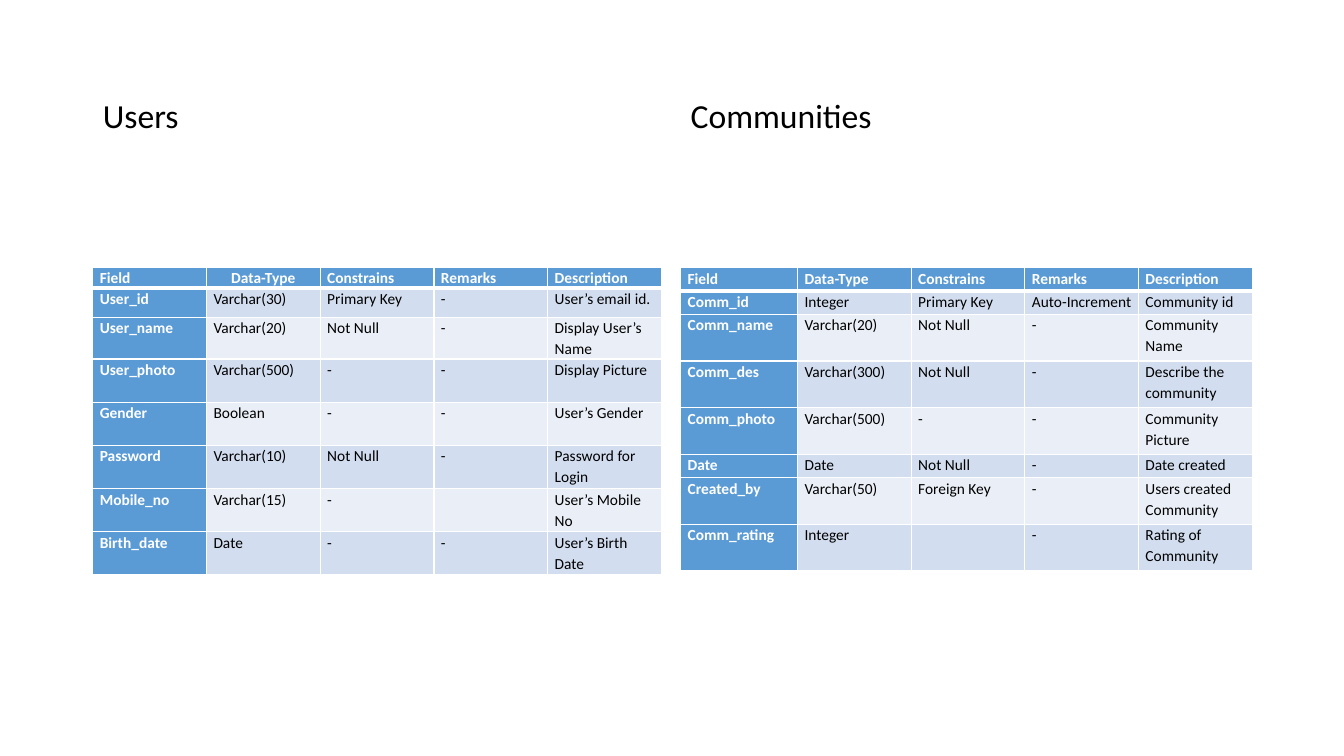
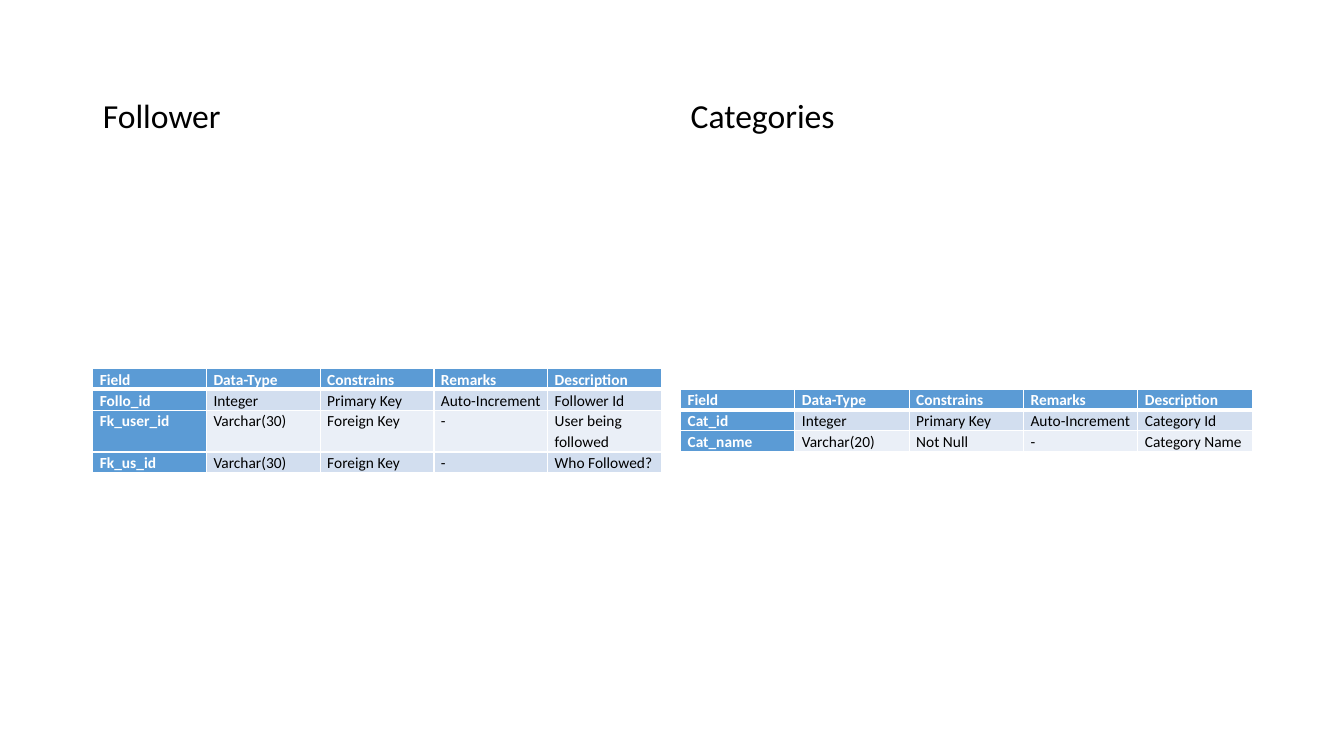
import lxml.etree
import pptx
import pptx.dml.color
import pptx.enum.text
import pptx.oxml.ns
import pptx.util

Inches = pptx.util.Inches
Pt = pptx.util.Pt

# Shared style
FONT = "Calibri"
BLACK, WHITE = "000000", "FFFFFF"
BLUE, BAND_DARK, BAND_LIGHT = "5B9BD5", "D2DEEF", "EAEFF7"
THIN, THICK = 1, 3
COMPARISON_LAYOUT = 4
LEFT_HEADING, RIGHT_HEADING = 1, 3
HEADING_TOP, HEADING_HEIGHT = 0.43, 0.97
TABLE_MIDDLE = 4.16
# Left edge and width of each half of a slide
LEFT_HALF, RIGHT_HALF = (0.92, 5.64), (6.75, 5.67)
HEADER = ("Field", "Data-Type", "Constrains", "Remarks", "Description")

USERS = {
    "heading": "Users",
    "height": 3.02,
    "row_weights": (20, 29, 39, 43, 43, 43, 43, 43),
    "centered_headers": ("Data-Type",),
    "rows": (
        ("User_id", "Varchar(30)", "Primary Key", "-", "User’s email id."),
        ("User_name", "Varchar(20)", "Not Null", "-", "Display User’s Name"),
        ("User_photo", "Varchar(500)", "-", "-", "Display Picture"),
        ("Gender", "Boolean", "-", "-", "User’s Gender"),
        ("Password", "Varchar(10)", "Not Null", "-", "Password for Login"),
        ("Mobile_no", "Varchar(15)", "-", "", "User’s Mobile No"),
        ("Birth_date", "Date", "-", "-", "User’s Birth Date"),
    ),
}
COMMUNITIES = {
    "heading": "Communities",
    "height": 3.01,
    "row_weights": (1, 1, 2, 2, 2, 1, 2, 2),
    "first_column": 1.16,
    "rows": (
        ("Comm_id", "Integer", "Primary Key", "Auto-Increment", "Community id"),
        ("Comm_name", "Varchar(20)", "Not Null", "-", "Community Name"),
        ("Comm_des", "Varchar(300)", "Not Null", "-", "Describe the community"),
        ("Comm_photo", "Varchar(500)", "-", "-", "Community Picture"),
        ("Date", "Date", "Not Null", "-", "Date created"),
        ("Created_by", "Varchar(50)", "Foreign Key", "-", "Users created Community"),
        ("Comm_rating", "Integer", "", "-", "Rating of Community"),
    ),
}
FOLLOWER = {
    "heading": "Follower",
    "height": 1.01,
    "row_weights": (1, 1, 2, 1),
    "rows": (
        ("Follo_id", "Integer", "Primary Key", "Auto-Increment", "Follower Id"),
        ("Fk_user_id", "Varchar(30)", "Foreign Key", "-", "User being followed"),
        ("Fk_us_id", "Varchar(30)", "Foreign Key", "-", "Who Followed?"),
    ),
}
CATEGORIES = {
    "heading": "Categories",
    "height": 0.6,
    "row_weights": (1, 1, 1),
    "rows": (
        ("Cat_id", "Integer", "Primary Key", "Auto-Increment", "Category Id"),
        ("Cat_name", "Varchar(20)", "Not Null", "-", "Category Name"),
    ),
}


def rgb(value):
    return pptx.dml.color.RGBColor.from_string(value)


def format_paragraph(paragraph, size, color, bold, line_spacing):
    paragraph.line_spacing = line_spacing
    font = paragraph.font
    font.name, font.size, font.bold = FONT, Pt(size), bold
    font.color.rgb = rgb(color)


def set_borders(cell, top, bottom):
    """Draw white cell borders, with the given top and bottom widths."""
    properties = cell._tc.get_or_add_tcPr()
    sides = (("a:lnL", THIN), ("a:lnR", THIN), ("a:lnT", top), ("a:lnB", bottom))
    for position, (tag, width) in enumerate(sides):
        line = lxml.etree.Element(pptx.oxml.ns.qn(tag), w=str(Pt(width)))
        fill = lxml.etree.SubElement(line, pptx.oxml.ns.qn("a:solidFill"))
        lxml.etree.SubElement(fill, pptx.oxml.ns.qn("a:srgbClr"), val=WHITE)
        properties.insert(position, line)


def format_cell(cell, text, row, column):
    """Fill one cell, styled by its place in the table."""
    emphasized = row == 0 or column == 0
    band = BAND_DARK if row % 2 else BAND_LIGHT
    cell.fill.solid()
    cell.fill.fore_color.rgb = rgb(BLUE if emphasized else band)
    cell.margin_left = cell.margin_right = Inches(0.07)
    cell.margin_top = cell.margin_bottom = 0
    set_borders(cell, THICK if row == 1 else THIN, THICK if row == 0 else THIN)
    cell.text = text
    format_paragraph(cell.text_frame.paragraphs[0], 11,
                     WHITE if emphasized else BLACK, emphasized, 1.1)


def add_heading(slide, placeholder_index, box, text):
    left, width = box
    heading = slide.placeholders[placeholder_index]
    heading.left, heading.top = Inches(left), Inches(HEADING_TOP)
    heading.width, heading.height = Inches(width), Inches(HEADING_HEIGHT)
    frame = heading.text_frame
    frame.text = text
    frame.word_wrap = True
    frame.auto_size = pptx.enum.text.MSO_AUTO_SIZE.NONE
    frame.vertical_anchor = pptx.enum.text.MSO_ANCHOR.BOTTOM
    paragraph = frame.paragraphs[0]
    paragraph.space_before = Pt(10)
    format_paragraph(paragraph, 24, BLACK, False, 0.9)


def add_field_table(slide, box, entity):
    """Add the field table, centred vertically on the shared middle line."""
    left, width = box
    height, weights = entity["height"], entity["row_weights"]
    rows = (HEADER, *entity["rows"])
    frame = slide.shapes.add_table(
        len(rows), len(HEADER), Inches(left), Inches(TABLE_MIDDLE - height / 2),
        Inches(width), Inches(height))
    table = frame.table
    table.first_col = True

    # Column widths: the first may differ, the others share the rest
    first_column = entity.get("first_column", width / len(HEADER))
    other_column = (width - first_column) / (len(HEADER) - 1)
    for index, column in enumerate(table.columns):
        column.width = Inches(other_column if index else first_column)

    for row, (texts, weight) in enumerate(zip(rows, weights)):
        table.rows[row].height = Inches(height * weight / sum(weights))
        for column, text in enumerate(texts):
            format_cell(table.cell(row, column), text, row, column)

    for name in entity.get("centered_headers", ()):
        paragraph = table.cell(0, HEADER.index(name)).text_frame.paragraphs[0]
        paragraph.alignment = pptx.enum.text.PP_ALIGN.CENTER


def add_comparison_slide(presentation, left_entity, right_entity):
    layout = presentation.slide_layouts[COMPARISON_LAYOUT]
    slide = presentation.slides.add_slide(layout)
    halves = ((LEFT_HEADING, LEFT_HALF, left_entity),
              (RIGHT_HEADING, RIGHT_HALF, right_entity))
    for placeholder_index, box, entity in halves:
        add_heading(slide, placeholder_index, box, entity["heading"])
        add_field_table(slide, box, entity)

    # Remove the placeholders left empty
    for placeholder in list(slide.placeholders):
        if placeholder.has_text_frame and not placeholder.text_frame.text:
            placeholder.element.getparent().remove(placeholder.element)


def main():
    presentation = pptx.Presentation()
    presentation.slide_width = Inches(13.33)
    presentation.slide_height = Inches(7.5)
    add_comparison_slide(presentation, USERS, COMMUNITIES)
    add_comparison_slide(presentation, FOLLOWER, CATEGORIES)
    presentation.save("out.pptx")


if __name__ == "__main__":
    main()
